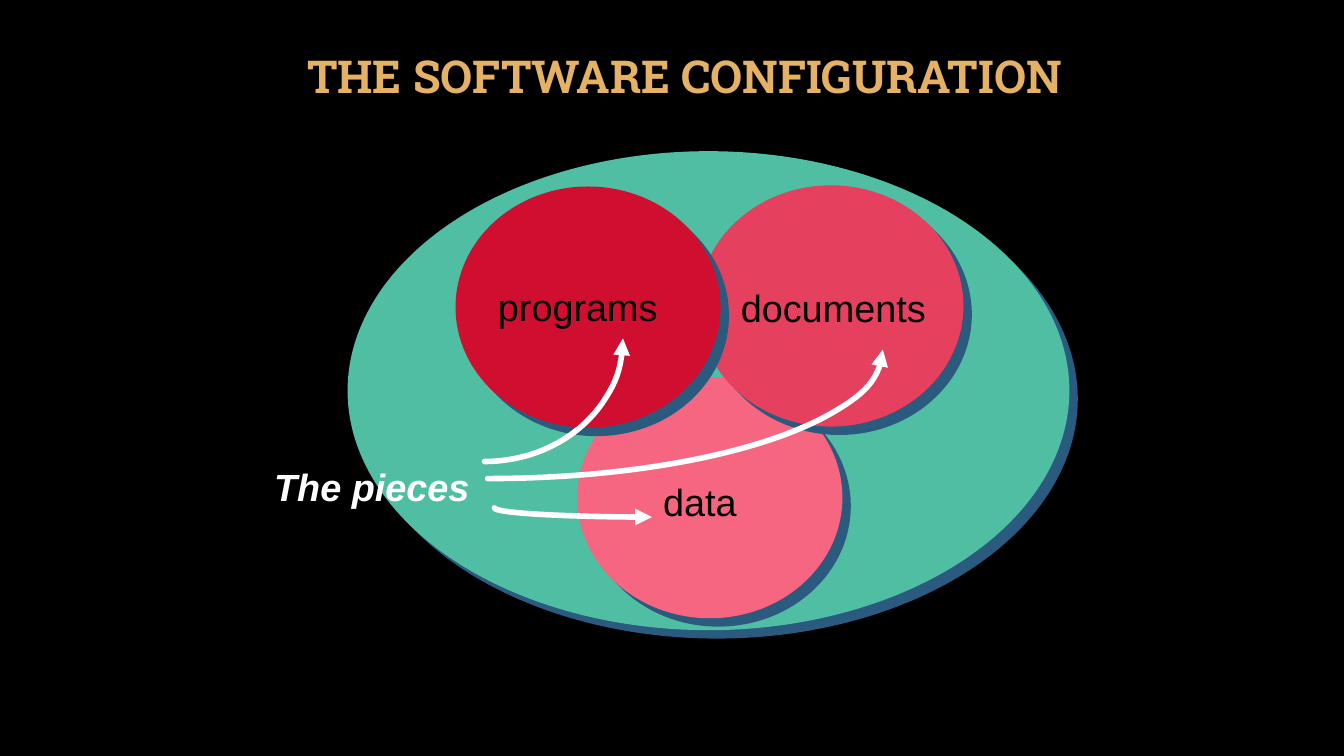
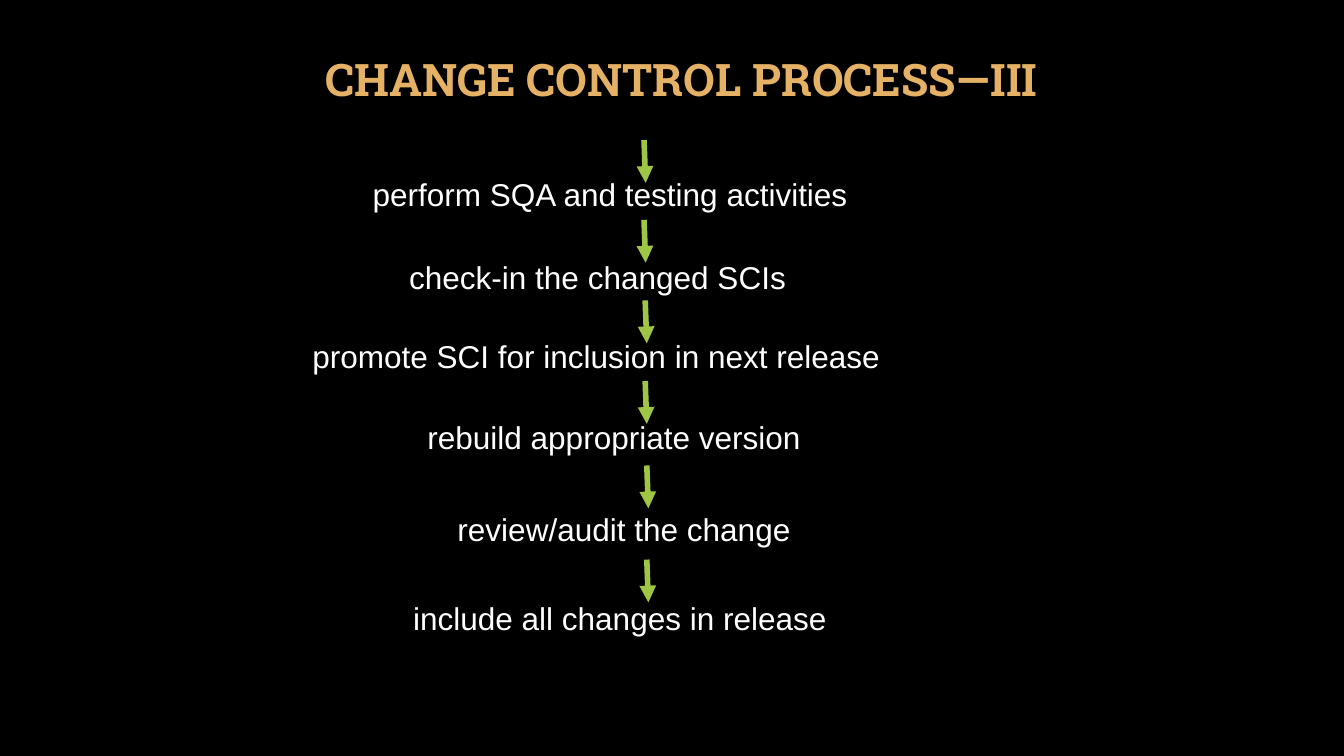
from lxml.etree import SubElement
from pptx import Presentation
from pptx.dml.color import RGBColor
from pptx.enum.shapes import MSO_CONNECTOR as Link, MSO_SHAPE as Form
from pptx.enum.text import MSO_ANCHOR as Anchor, MSO_AUTO_SIZE as Fit, PP_ALIGN as Align
from pptx.oxml.ns import qn
from pptx.util import Cm, Pt

BLACK = RGBColor(0x00, 0x00, 0x00)
WHITE = RGBColor(0xFF, 0xFF, 0xFF)
GOLD = RGBColor(0xE5, 0xB1, 0x65)
TEAL = RGBColor(0x50, 0xBE, 0xA3)
NAVY = RGBColor(0x2A, 0x5B, 0x7F)
PINK = RGBColor(0xF7, 0x66, 0x81)
ROSE = RGBColor(0xE5, 0x40, 0x5D)
RED = RGBColor(0xCF, 0x0E, 0x30)
GREEN = RGBColor(0x9E, 0xC5, 0x44)
HEAD, BODY = "Roboto Slab", "Arial"


# Shared parts
def add_text(slide, box, text, size, color, font=BODY, bold=False, slant=False):
    shape = slide.shapes.add_textbox(*map(Cm, box))
    frame = shape.text_frame
    frame.margin_left = frame.margin_right = Cm(0.28)
    frame.margin_top = frame.margin_bottom = Cm(0.13)
    frame.word_wrap = False
    frame.auto_size = Fit.SHAPE_TO_FIT_TEXT
    run = frame.paragraphs[0].add_run()
    run.text = text
    run.font.name, run.font.size = font, Pt(size)
    run.font.bold, run.font.italic = bold, slant
    run.font.color.rgb = color
    return frame


def add_page(deck, title, size, box):
    slide = deck.slides.add_slide(deck.slide_layouts[6])
    fill = slide.background.fill
    fill.solid()
    fill.fore_color.rgb = BLACK
    frame = add_text(slide, box, title, size, GOLD, HEAD, bold=True)
    frame.word_wrap = True
    frame.auto_size = Fit.NONE
    frame.vertical_anchor = Anchor.MIDDLE
    frame.paragraphs[0].alignment = Align.CENTER
    frame.paragraphs[0].line_spacing = 0.9
    return slide


def draw_line(shape, color, end):
    """Style a line and put an arrowhead at "headEnd" or "tailEnd"."""
    shape.line.color.rgb = color
    shape.line.width = Pt(4)
    props = shape.line._get_or_add_ln()
    SubElement(props, qn(f"a:{end}"), type="triangle")
    return props


# Software configuration: ovals, labels and curved arrows
def add_oval(slide, box, color):
    oval = slide.shapes.add_shape(Form.OVAL, *map(Cm, box))
    oval.fill.solid()
    oval.fill.fore_color.rgb = color
    oval.line.fill.background()
    oval.shadow.inherit = False
    effects = oval._element.spPr.find(qn("a:effectLst"))
    shade = SubElement(effects, qn("a:outerShdw"), blurRad="0",
                       dist=str(Pt(8.5)), dir=str(45 * 60000), rotWithShape="0")
    SubElement(shade, qn("a:srgbClr"), val=str(NAVY))


def add_curve(slide, x, y, wide, high, start):
    """Draw a quarter arc around (x, y), clockwise from a start angle."""
    box = (x - wide, y - high, 2 * wide, 2 * high)
    arc = slide.shapes.add_shape(Form.ARC, *map(Cm, box))
    # Arc angles are stored in 60000ths of a degree, adjustments in 100000ths
    arc.adjustments[0] = start * 0.6
    arc.adjustments[1] = (start + 90) * 0.6
    arc.fill.background()
    arc.shadow.inherit = False
    draw_line(arc, WHITE, "headEnd").set("cap", "rnd")


def add_pieces(slide, box):
    left, top, _, _ = box
    add_oval(slide, box, TEAL)
    for x, y, color in ((5.79, 5.69, PINK), (8.84, 0.86, ROSE), (2.72, 0.89, RED)):
        add_oval(slide, (left + x, top + y, 6.68, 6.08), color)
    for text, x, y, wide in (("programs", 3.51, 3.2, 4.62),
                             ("documents", 9.63, 3.23, 5.28),
                             ("data", 7.67, 8.13, 2.44)):
        add_text(slide, (left + x, top + y, wide, 1.42), text, 27, BLACK)
    add_text(slide, (left - 2.13, top + 7.75, 5.54, 1.42), "The pieces", 27, WHITE,
             bold=True, slant=True)
    for x, y, wide, high, start in ((7.67, 8.99, 3.97, 0.23, 90),
                                    (3.53, 5, 9.96, 3.25, 0),
                                    (3.45, 4.72, 3.49, 3.1, 0)):
        add_curve(slide, left + x, top + y, wide, high, start)


# Change control: a column of steps, each below its arrow
STEPS = (  # text, label left, top and width, arrow left and top
    ("perform SQA and testing activities", 1.52, 0.74, 12.65, 8.64, 0),
    ("check-in the changed SCIs", 2.44, 2.84, 10.13, 8.64, 2.01),
    ("promote SCI for inclusion in next release", 0, 4.83, 14.99, 8.67, 4.04),
    ("rebuild appropriate version", 2.9, 6.88, 10.06, 8.67, 6.07),
    ("review/audit the change", 3.66, 9.19, 9.04, 8.71, 8.2),
    ("include all changes in release", 2.54, 11.43, 11.07, 8.71, 10.57),
)


def add_steps(slide, left, top):
    for text, x, y, wide, tip, start in STEPS:
        add_text(slide, (left + x, top + y, wide, 1.24), text, 22.5, WHITE)
        ends = (left + tip, top + start, left + tip + 0.04, top + start + 1.08)
        arrow = slide.shapes.add_connector(Link.STRAIGHT, *map(Cm, ends))
        draw_line(arrow, GREEN, "tailEnd")
        SubElement(arrow._element.spPr, qn("a:effectLst"))


def main():
    deck = Presentation()
    deck.slide_width, deck.slide_height = Cm(33.87), Cm(19.05)
    slide = add_page(deck, "THE SOFTWARE CONFIGURATION", 32.4, (3.63, 1.24, 27.25, 1.5))
    add_pieces(slide, (8.76, 3.81, 18.19, 12.07))
    slide = add_page(deck, "CHANGE CONTROL PROCESS—III", 32, (6.58, 0.28, 21.21, 3.58))
    add_steps(slide, 7.59, 3.53)
    deck.save("out.pptx")


if __name__ == "__main__":
    main()
